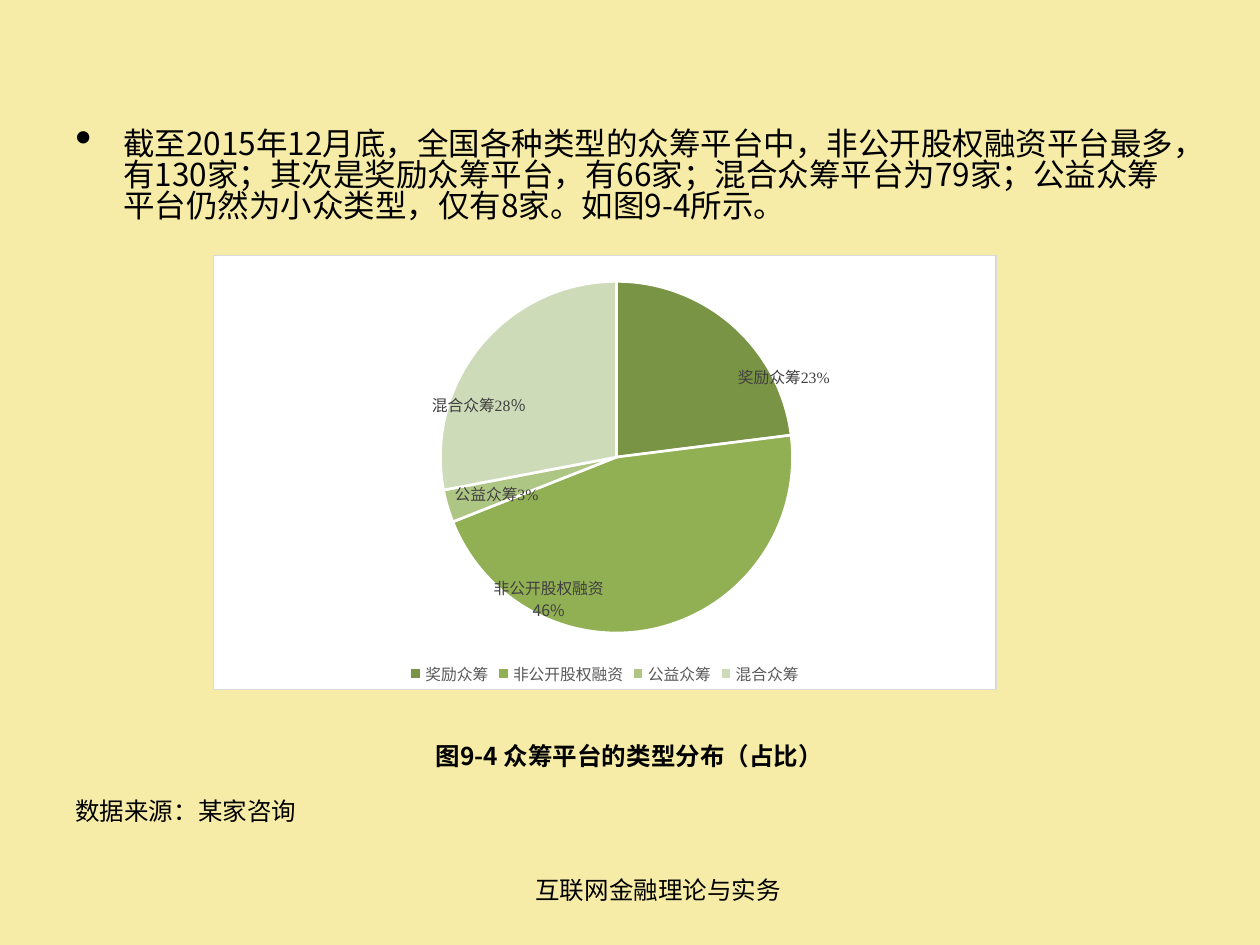
from lxml import etree
from pptx import Presentation
from pptx.chart.data import CategoryChartData
from pptx.dml.color import RGBColor
from pptx.enum.chart import XL_CHART_TYPE, XL_LABEL_POSITION, XL_LEGEND_POSITION
from pptx.enum.text import PP_ALIGN
from pptx.oxml import parse_xml
from pptx.oxml.ns import nsdecls, qn
from pptx.util import Inches, Pt

PIE = XL_CHART_TYPE.PIE
INSIDE_END = XL_LABEL_POSITION.INSIDE_END
BOTTOM = XL_LEGEND_POSITION.BOTTOM
CENTER = PP_ALIGN.CENTER
CJK = "Noto Sans CJK SC"
COLORS = {"bg": "F6ECA7", "text": "000000", "white": "FFFFFF", "border": "D9D9D9",
          "legend": "595959", "label": "404040"}


def style(font, size, color, name=CJK, bold=False):
    font.size, font.name, font.bold = Pt(size), name, bold
    font.color.rgb = RGBColor.from_string(COLORS[color])


def add_text(s, box, lines):
    """Add a text box; each line is (text, size, bold, alignment)."""
    tf = s.shapes.add_textbox(*[Inches(v) for v in box]).text_frame
    tf.word_wrap = True
    for i, (text, size, bold, align) in enumerate(lines):
        p = tf.add_paragraph() if i else tf.paragraphs[0]
        p.text, p.alignment, p.line_spacing = text, align, 0.82
        if i:
            p.space_before = Pt(18)
        r = p.runs[0]
        style(r.font, size, "text", bold=bold)
        etree.SubElement(r.font._element, qn("a:ea")).set("typeface", CJK)
    return tf


prs = Presentation()
prs.slide_width, prs.slide_height = Inches(10), Inches(7.5)
s = prs.slides.add_slide(prs.slide_layouts[6])
s.background.fill.solid()
s.background.fill.fore_color.rgb = RGBColor.from_string(COLORS["bg"])

# Footer
add_text(s, (3.06, 6.94, 4.33, 0.34), [("互联网金融理论与实务", 14, False, CENTER)])

# Bullet paragraph
tf = add_text(s, (0.5, 0.99, 8.99, 1.0), [
    ("截至2015年12月底，全国各种类型的众筹平台中，非公开股权融资平台最多，有130家；"
     "其次是奖励众筹平台，有66家；混合众筹平台为79家；公益众筹平台仍然为小众类型，"
     "仅有8家。如图9-4所示。", 18, False, None)])
pPr = tf.paragraphs[0]._p.get_or_add_pPr()
pPr.set("marL", str(Inches(0.38)))
pPr.set("indent", str(-Inches(0.38)))
etree.SubElement(pPr, qn("a:buSzPct")).set("val", "150000")
etree.SubElement(pPr, qn("a:buChar")).set("char", "•")

# Pie chart: category, value, colour, label font, label offset
slices = [
    ("奖励众筹", 23, "7A9446", "Times New Roman", (0.13, 0.08), "%"),
    ("非公开股权融资", 46, "91AF53", CJK, (-0.07, 0), "%"),
    ("公益众筹", 3, "AEC683", "Times New Roman", (0, 0), "%"),
    ("混合众筹", 28, "CDDBB8", "Times New Roman", (-0.07, 0.1), "％"),
]
data = CategoryChartData()
data.categories = [row[0] for row in slices]
data.add_series("Series 1", [row[1] for row in slices])
chart = s.shapes.add_chart(PIE, Inches(1.69), Inches(2.02), Inches(6.22), Inches(3.46),
                           data).chart
chart.has_title = False
style(chart.font, 10, "text", "Calibri")
chart.has_legend = True
chart.legend.position = BOTTOM
chart.legend.include_in_layout = False
style(chart.legend.font, 9, "legend", "Calibri")

# Chart frame and plot area
chart._chartSpace.find(qn("c:chart")).addnext(parse_xml(
    f'<c:spPr {nsdecls("c", "a")}><a:solidFill><a:srgbClr val="{COLORS["white"]}"/></a:solidFill>'
    f'<a:ln w="{Pt(0.75)}"><a:solidFill><a:srgbClr val="{COLORS["border"]}"/></a:solidFill></a:ln>'
    '</c:spPr>'))
plot_area = chart._chartSpace.find(".//" + qn("c:plotArea"))
for old in plot_area.findall(qn("c:layout")):
    plot_area.remove(old)
plot_area.insert(0, parse_xml(
    f'<c:layout {nsdecls("c")}><c:manualLayout><c:layoutTarget val="inner"/>'
    '<c:xMode val="edge"/><c:yMode val="edge"/><c:x val="0.29"/><c:y val="0.06"/>'
    '<c:w val="0.45"/><c:h val="0.81"/></c:manualLayout></c:layout>'))

# Slices and their labels
plot = chart.plots[0]
plot.vary_by_categories = True
plot.has_data_labels = True
labels = plot.data_labels
labels.show_percentage, labels.show_value = True, False
labels.position = INSIDE_END
style(labels.font, 9, "label", "Times New Roman")
for i, (name, value, color, font, (dx, dy), sign) in enumerate(slices):
    point = plot.series[0].points[i]
    point.format.fill.solid()
    point.format.fill.fore_color.rgb = RGBColor.from_string(color)
    point.format.line.width = Pt(1.5)
    point.format.line.color.rgb = RGBColor.from_string(COLORS["white"])
    label = point.data_label
    label.text_frame.text = f"{name}{value}{sign}"
    style(label.text_frame.paragraphs[0].runs[0].font, 9, "label", font)
    label.position = INSIDE_END
    if dx or dy:
        idx = plot.series[0]._element.findall(".//" + qn("c:dLbl"))[i].find(qn("c:idx"))
        idx.addnext(parse_xml(
            f'<c:layout {nsdecls("c")}><c:manualLayout><c:x val="{dx}"/><c:y val="{dy}"/>'
            '</c:manualLayout></c:layout>'))

# Caption and data source
add_text(s, (0.5, 5.87, 8.99, 0.85), [
    ("图9-4 众筹平台的类型分布（占比）", 14, True, CENTER),
    ("数据来源：某家咨询", 14, False, None)])

prs.save("out.pptx")
